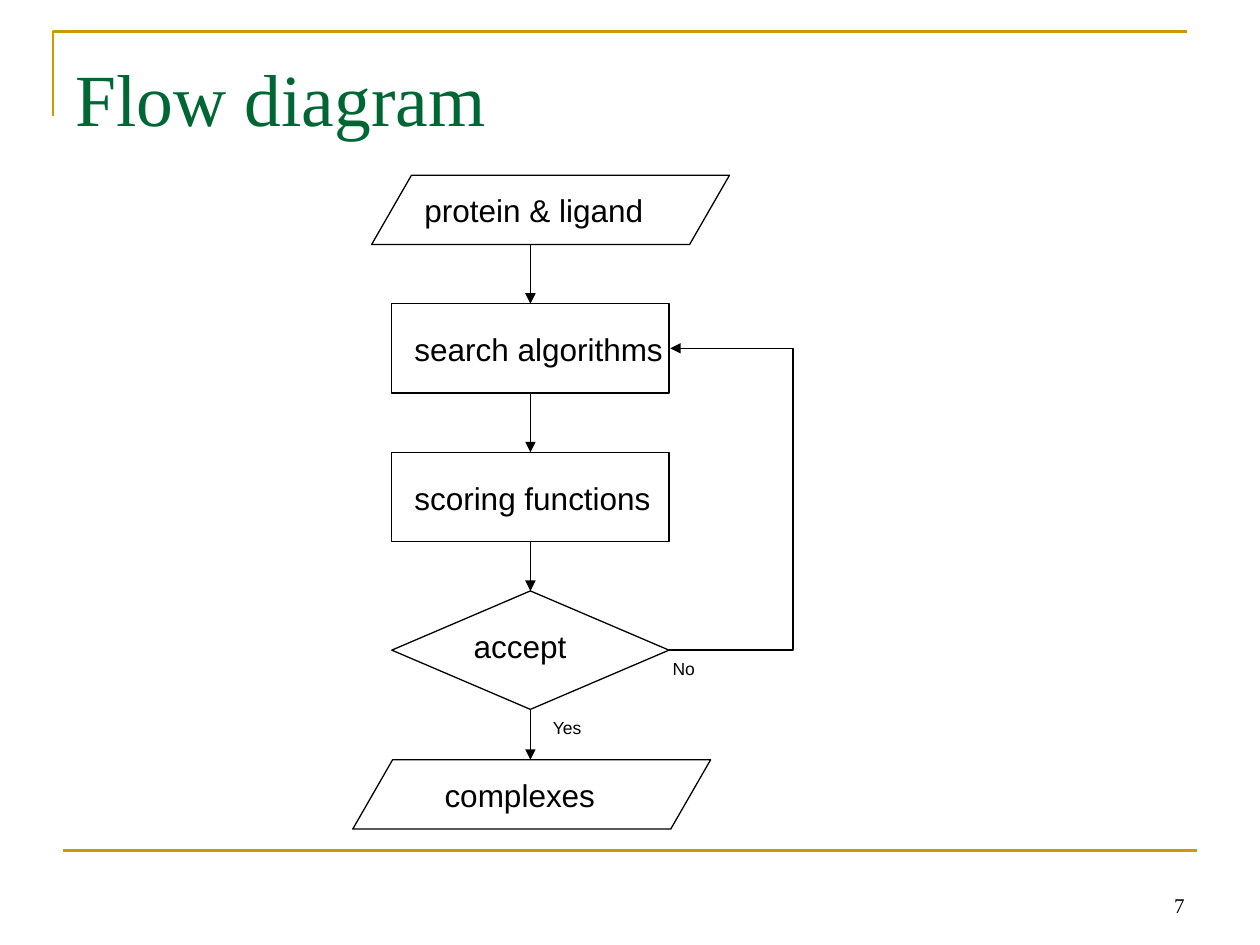
import dataclasses

import pptx
import pptx.dml.color
import pptx.enum.shapes
import pptx.enum.text
import pptx.oxml.ns
import pptx.util
from lxml import etree

Inches = pptx.util.Inches
Pt = pptx.util.Pt
Shapes = pptx.enum.shapes.MSO_SHAPE
Connectors = pptx.enum.shapes.MSO_CONNECTOR
Anchor = pptx.enum.text.MSO_ANCHOR
Align = pptx.enum.text.PP_ALIGN
qn = pptx.oxml.ns.qn


@dataclasses.dataclass(frozen=True)
class Theme:
    gold: str = "CC9900"
    green: str = "006633"
    black: str = "000000"
    serif: str = "Times New Roman"
    sans: str = "Arial"
    title: float = 42
    step: float = 18
    number: float = 12
    branch: float = 10
    rule: float = 1.5
    outline: float = 0.75


@dataclasses.dataclass(frozen=True)
class Box:
    left: float
    top: float
    width: float
    height: float

    def inner(self, left, top, width, height):
        return Box(self.left + left, self.top + top, width, height)

    def lengths(self):
        return [Inches(v) for v in (self.left, self.top, self.width, self.height)]


THEME = Theme()


def color(value):
    return pptx.dml.color.RGBColor.from_string(value)


def set_line(shape, value, width):
    shape.line.color.rgb = color(value)
    shape.line.width = Pt(width)


def add_text(page, box, text, size, font, value=THEME.black,
             align=Align.LEFT, anchor=Anchor.TOP, inset=0.05, wrap=True):
    frame = page.shapes.add_textbox(*box.lengths()).text_frame
    frame.word_wrap = wrap
    frame.vertical_anchor = anchor
    frame.margin_top = Inches(inset)
    para = frame.paragraphs[0]
    para.alignment = align
    span = para.add_run()
    span.text = text
    span.font.size = Pt(size)
    span.font.name = font
    span.font.color.rgb = color(value)


def add_line(page, kind, start, end, value=THEME.black, width=THEME.outline, arrow=True):
    line = page.shapes.add_connector(kind, *[Inches(v) for v in (*start, *end)])
    set_line(line, value, width)
    properties = line._element.spPr
    if arrow:
        etree.SubElement(properties.find(qn("a:ln")), qn("a:tailEnd"), type="triangle")
    etree.SubElement(properties, qn("a:effectLst"))
    return line


def add_node(page, kind, box):
    node = page.shapes.add_shape(kind, *box.lengths())
    node.shadow.inherit = False
    node.fill.background()
    set_line(node, THEME.black, THEME.outline)
    if kind == Shapes.PARALLELOGRAM:
        node.adjustments[0] = 0.575
    return node


def draw_frame(page, box):
    # Corner rule at the top left
    right = box.left + 9
    builder = page.shapes.build_freeform(
        Inches(box.left), Inches(box.top + 0.67), scale=1.0)
    builder.add_line_segments(
        [(Inches(box.left), Inches(box.top)), (Inches(right), Inches(box.top))], close=False)
    corner = builder.convert_to_shape()
    corner.shadow.inherit = False
    corner.fill.background()
    set_line(corner, THEME.gold, THEME.rule)

    # Bottom rule and page number
    bottom = box.top + box.height
    add_line(page, Connectors.STRAIGHT, (box.left + 0.08, bottom), (right + 0.08, bottom),
             THEME.gold, THEME.rule, arrow=False)
    add_text(page, box.inner(6.75, box.height + 0.08, 2.33, 0.5), "7", THEME.number,
             THEME.serif, align=Align.RIGHT, anchor=Anchor.BOTTOM)


def draw_title(page, box):
    add_text(page, box, "Flow diagram", THEME.title, THEME.serif, THEME.green, inset=0.12)


def draw_flow(page, box):
    # Steps: shape, its place, label, label offset from the shape and width
    steps = [
        (Shapes.PARALLELOGRAM, (0.15, 0, 2.84, 0.55), "protein & ligand", (0.32, 0.08, 2.91)),
        (Shapes.RECTANGLE, (0.31, 1.02, 2.2, 0.71), "search algorithms", (0.08, 0.16, 2.2)),
        (Shapes.RECTANGLE, (0.31, 2.2, 2.2, 0.71), "scoring functions", (0.08, 0.16, 2.13)),
        (Shapes.DIAMOND, (0.31, 3.3, 2.2, 0.94), "accept", (0.55, 0.24, 1.02)),
        (Shapes.PARALLELOGRAM, (0, 4.64, 2.84, 0.55), "complexes", (0.63, 0.08, 1.97)),
    ]
    nodes, places = [], []
    for kind, place, label, (across, down, width) in steps:
        spot = box.inner(*place)
        nodes.append(add_node(page, kind, spot))
        places.append(spot)
        add_text(page, spot.inner(across, down, width, 0.4), label,
                 THEME.step, THEME.sans, wrap=False)

    # Arrows down the axis, joined wherever they meet a rectangle
    axis = places[1].left + places[1].width / 2
    for i in range(len(nodes) - 1):
        arrow = add_line(page, Connectors.STRAIGHT,
                         (axis, places[i].top + places[i].height), (axis, places[i + 1].top))
        if steps[i][0] == Shapes.RECTANGLE:
            arrow.begin_connect(nodes[i], 2)
        if steps[i + 1][0] == Shapes.RECTANGLE:
            arrow.end_connect(nodes[i + 1], 0)

    # Loop back from the decision to the search
    search, decision = places[1], places[3]
    side = decision.left + decision.width
    middle = decision.top + decision.height / 2
    step, reach = 0.01, 1
    loop = add_line(page, Connectors.ELBOW, (side, middle),
                    (side + step, search.top + search.height / 2))
    geometry = loop._element.spPr.find(qn("a:prstGeom"))
    guides = geometry.find(qn("a:avLst"))
    if guides is None:
        guides = etree.SubElement(geometry, qn("a:avLst"))
    etree.SubElement(guides, qn("a:gd"), name="adj1",
                     fmla=f"val {round(reach / step * 100000)}")

    # Branch labels
    for label, left, top in (("Yes", 1.49, 4.25), ("No", 2.44, 3.78)):
        add_text(page, box.inner(left, top, 0.71, 0.27), label, THEME.branch, THEME.sans)


def main():
    deck = pptx.Presentation()
    deck.slide_width, deck.slide_height = Inches(10), Inches(7.5)
    page = deck.slides.add_slide(deck.slide_layouts[6])
    draw_frame(page, Box(0.42, 0.25, 9.08, 6.5))
    draw_title(page, Box(0.5, 0.3, 9, 1.25))
    draw_flow(page, Box(2.8, 1.39, 3.51, 5.19))
    deck.save("out.pptx")


if __name__ == "__main__":
    main()
